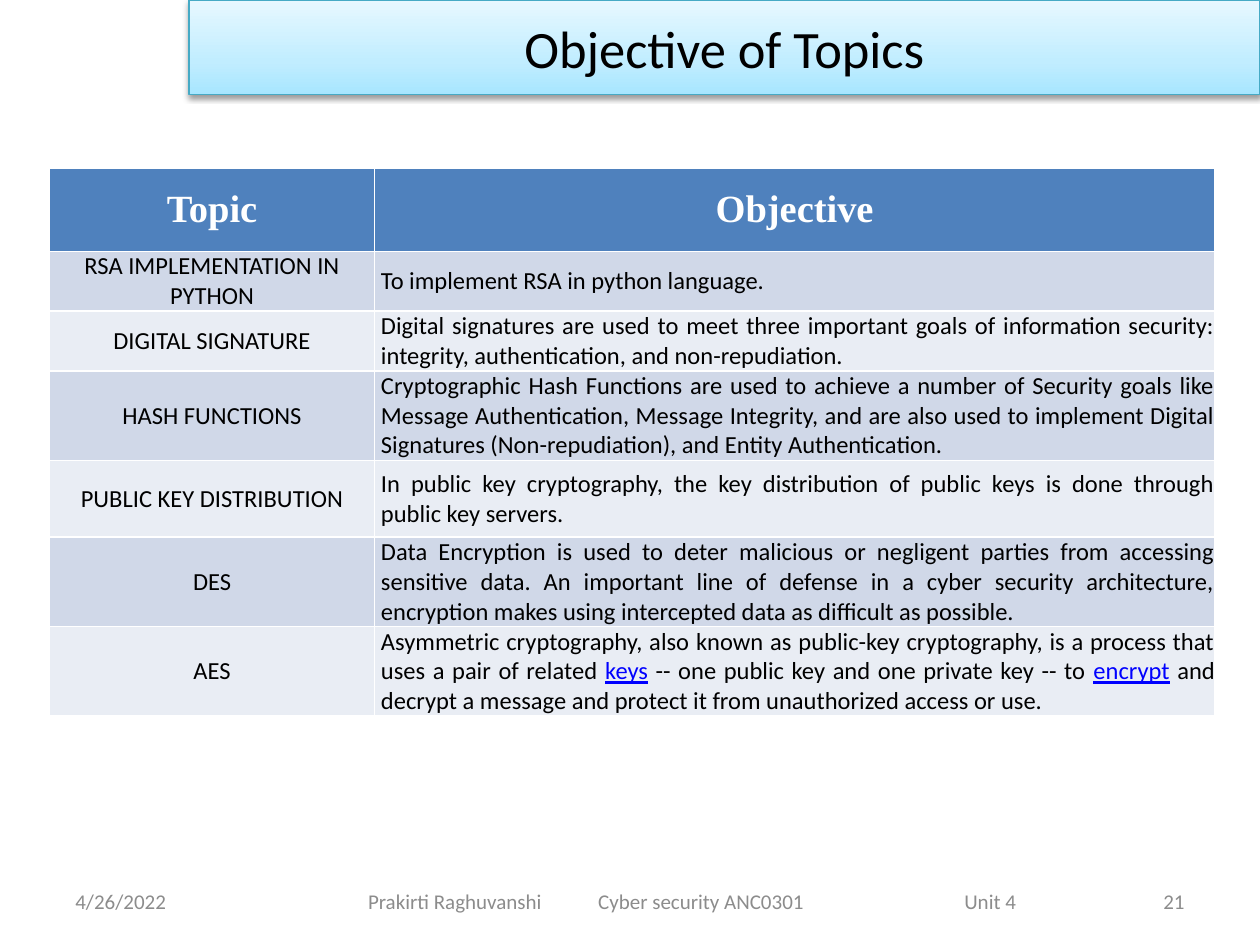
from copy import deepcopy

from lxml import etree
from pptx import Presentation
from pptx import util as u
from pptx.dml.color import RGBColor
from pptx.enum import text
from pptx.oxml import parse_xml
from pptx.oxml.ns import qn

Cm = u.Cm
ALIGN = text.PP_ALIGN
MIDDLE = text.MSO_ANCHOR.MIDDLE


def colour(hex_code):
    return RGBColor.from_string(hex_code)


def add_span(para, words, size, hex_code="000000", font="Calibri", bold=False):
    span = para.add_run()
    span.text = words
    span.font.size = u.Pt(size)
    span.font.name = font
    span.font.bold = bold
    span.font.color.rgb = colour(hex_code)
    return span


deck = Presentation()
deck.slide_width, deck.slide_height = Cm(25.4), Cm(19.05)
page = deck.slides.add_slide(deck.slide_layouts[5])

# Title bar with gradient and soft shadow
title = page.shapes.title
title.left, title.top, title.width, title.height = Cm(3.81), Cm(0), Cm(21.59), Cm(1.91)
title.fill.gradient()
title.fill.gradient_angle = 90
first_stop = title._element.spPr.find(qn("a:gradFill")).find(qn("a:gsLst"))[0]
first_stop.addnext(deepcopy(first_stop))
stops = [(0, "A7E6FF"), (0.35, "C1EDFF"), (1, "E7F8FF")]
for stop, (position, hex_code) in zip(title.fill.gradient_stops, stops):
    stop.position = position
    stop.color.rgb = colour(hex_code)
title.line.color.rgb = colour("46AAC5")
title.line.width = u.Pt(0.75)
title._element.spPr.append(parse_xml(
    '<a:effectLst xmlns:a="http://schemas.openxmlformats.org/drawingml/2006/main">'
    '<a:outerShdw blurRad="40000" dist="20000" dir="5400000" rotWithShape="0">'
    '<a:srgbClr val="000000"><a:alpha val="38000"/></a:srgbClr>'
    '</a:outerShdw></a:effectLst>'))
title.text_frame.auto_size = text.MSO_AUTO_SIZE.NONE
title.text_frame.vertical_anchor = MIDDLE
para = title.text_frame.paragraphs[0]
para.alignment = ALIGN.CENTER
add_span(para, "Objective of Topics", 30)

# Topic table: every second piece of an objective is an underlined keyword
topics = [
    ("RSA IMPLEMENTATION IN PYTHON", ["To implement RSA in python language."]),
    ("DIGITAL SIGNATURE", [
        "Digital signatures are used to meet three important goals of information "
        "security: integrity, authentication, and non-repudiation."]),
    ("HASH FUNCTIONS", [
        "Cryptographic Hash Functions are used to achieve a number of Security goals "
        "like Message Authentication, Message Integrity, and are also used to implement "
        "Digital Signatures (Non-repudiation), and Entity Authentication."]),
    ("PUBLIC KEY DISTRIBUTION", [
        "In public key cryptography, the key distribution of public keys is done "
        "through public key servers."]),
    ("DES", [
        "Data Encryption is used to deter malicious or negligent parties from accessing "
        "sensitive data. An important line of defense in a cyber security architecture, "
        "encryption makes using intercepted data as difficult as possible."]),
    ("AES", [
        "Asymmetric cryptography, also known as public-key cryptography, is a process "
        "that uses a pair of related ", "keys",
        " -- one public key and one private key -- to ", "encrypt",
        " and decrypt a message and protect it from unauthorized access or use."]),
]
rows = [("Topic", ["Objective"])] + topics
row_heights = [1.68, 1.07, 1.07, 1.63, 1.55, 1.63, 1.63]
table = page.shapes.add_table(len(rows), 2, Cm(1), Cm(3.39), Cm(23.49), Cm(10.26)).table
table.columns[0].width, table.columns[1].width = Cm(6.55), Cm(16.94)

for r, (topic, objective) in enumerate(rows):
    table.rows[r].height = Cm(row_heights[r])
    header = r == 0
    for c, pieces in enumerate([[topic], objective]):
        cell = table.cell(r, c)
        body_objective = c == 1 and not header
        cell.fill.solid()
        cell.fill.fore_color.rgb = colour(
            "4F81BD" if header else "D0D8E8" if r % 2 else "E9EDF4")
        cell.vertical_anchor = MIDDLE
        cell.margin_top = cell.margin_right = cell.margin_bottom = Cm(0)
        cell.margin_left = Cm(0.13 if body_objective else 0)
        para = cell.text_frame.paragraphs[0]
        para.alignment = ALIGN.JUSTIFY if body_objective else ALIGN.CENTER
        for i, piece in enumerate(pieces):
            if header:
                add_span(para, piece, 22, "FFFFFF", "Times New Roman", True)
            elif i % 2:
                add_span(para, piece, 14, "0000FF").font.underline = True
            else:
                add_span(para, piece, 14)

# Footer: date, course line with tab stops, page number
footers = [
    (1.27, 5.92, 0.25, ALIGN.LEFT, [], "4/26/2022"),
    (6.99, 13.97, 0.43, ALIGN.LEFT, [4.64, 12.02],
     "Prakirti Raghuvanshi\tCyber security ANC0301\tUnit 4"),
    (18.21, 5.92, 0.25, ALIGN.RIGHT, [], "21"),
]
for left, width, inset, align, tabs, words in footers:
    box = page.shapes.add_textbox(Cm(left), Cm(17.65), Cm(width), Cm(1.02))
    box.text_frame.word_wrap = True
    box.text_frame.vertical_anchor = MIDDLE
    box.text_frame.margin_left = Cm(inset)
    para = box.text_frame.paragraphs[0]
    para.alignment = align
    if tabs:
        tab_list = etree.SubElement(para._p.get_or_add_pPr(), qn("a:tabLst"))
        for position in tabs:
            etree.SubElement(tab_list, qn("a:tab"), pos=str(Cm(position)), algn="l")
    add_span(para, words, 12, "8C8C8C")

deck.save("out.pptx")
